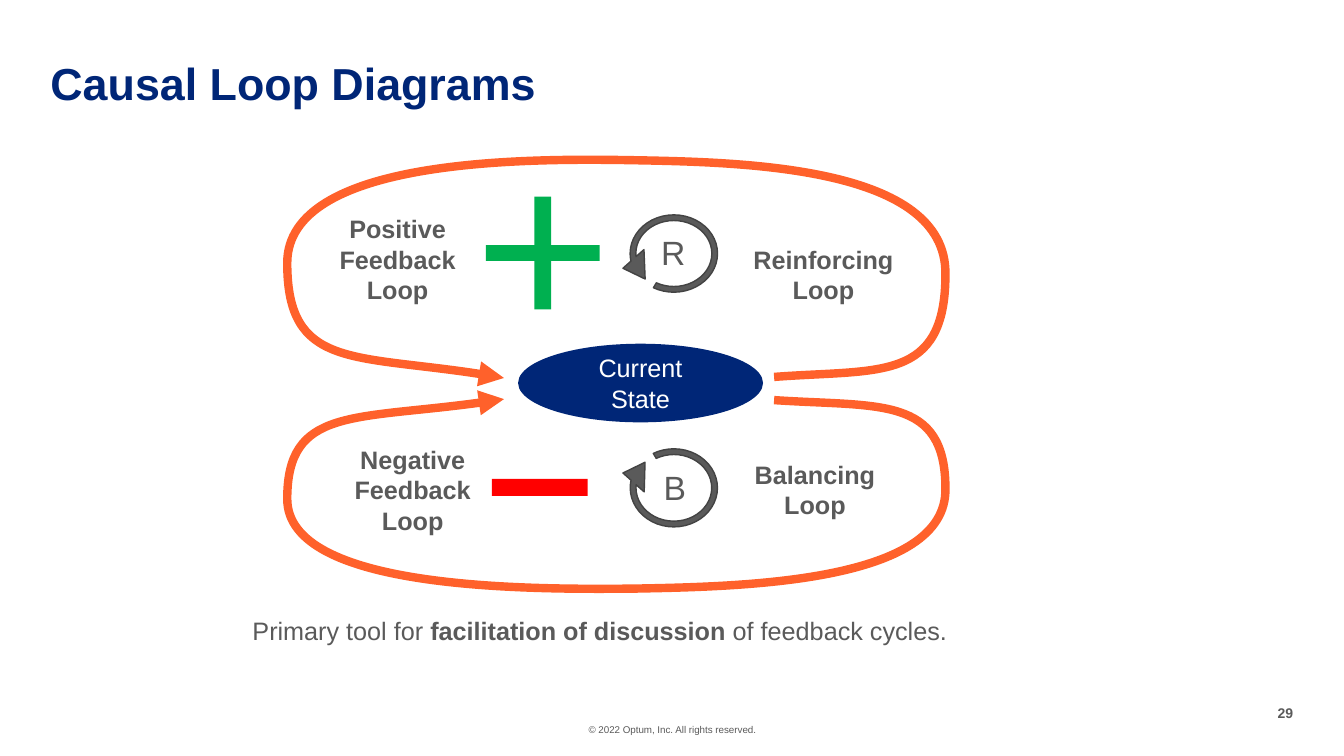
from itertools import islice

from pptx import Presentation
from pptx.dml.color import RGBColor
from pptx.enum.shapes import MSO_SHAPE
from pptx.enum.text import MSO_ANCHOR, MSO_AUTO_SIZE, PP_ALIGN
from pptx.oxml.ns import qn
from pptx.oxml.xmlchemy import OxmlElement
from pptx.util import Pt

PX = 9144  # EMU per px, 100 px to the inch
FONT = "Arial"
NAVY = RGBColor(0x00, 0x26, 0x77)
GREY = RGBColor(0x5A, 0x5A, 0x5A)
DARK_GREY = RGBColor(0x43, 0x43, 0x43)
ORANGE = RGBColor(0xFF, 0x61, 0x2B)
GREEN = RGBColor(0x00, 0xB0, 0x50)
RED = RGBColor(0xFF, 0x00, 0x00)
WHITE = RGBColor(0xFF, 0xFF, 0xFF)


class SlideBuilder:
    def __init__(self, page):
        self.page = page

    def add_text(self, frame, lines, size, color=GREY, bold=False, align=PP_ALIGN.CENTER):
        """Each line is a list of (text, bold) runs or a plain string."""
        for index, line in enumerate(lines):
            para = frame.paragraphs[0] if index == 0 else frame.add_paragraph()
            para.alignment = align
            para.space_before = Pt(0)
            for text, strong in [(line, bold)] if isinstance(line, str) else line:
                span = para.add_run()
                span.text = text
                span.font.name = FONT
                span.font.size = Pt(size)
                span.font.bold = strong
                span.font.color.rgb = color

    def place(self, item, left, top, width, height):
        item.left, item.top = left * PX, top * PX
        item.width, item.height = width * PX, height * PX

    def clear_insets(self, frame):
        frame.margin_left = frame.margin_right = 0
        frame.margin_top = frame.margin_bottom = 0

    def title(self, box, text):
        holder = self.page.shapes.title
        self.place(holder, *box)
        frame = holder.text_frame
        self.clear_insets(frame)
        frame.vertical_anchor = MSO_ANCHOR.TOP
        frame.auto_size = MSO_AUTO_SIZE.NONE
        self.add_text(frame, [text], 32, NAVY, True, PP_ALIGN.LEFT)
        frame.paragraphs[0].line_spacing = 0.9

    def body(self, box, runs):
        holder = self.page.placeholders[1]
        self.place(holder, *box)
        frame = holder.text_frame
        frame.vertical_anchor = MSO_ANCHOR.TOP
        frame.auto_size = MSO_AUTO_SIZE.NONE
        properties = frame.paragraphs[0]._p.get_or_add_pPr()
        properties.set("marL", "0")
        properties.set("indent", "0")
        properties.append(OxmlElement("a:buNone"))
        self.add_text(frame, [runs], 18)

    def label(self, box, lines, size=18, bold=False, align=PP_ALIGN.CENTER,
              wrap=False, inset=True):
        left, top, width, height = (value * PX for value in box)
        frame = self.page.shapes.add_textbox(left, top, width, height).text_frame
        frame.word_wrap = wrap
        frame.auto_size = MSO_AUTO_SIZE.SHAPE_TO_FIT_TEXT
        if not inset:
            self.clear_insets(frame)
        self.add_text(frame, lines, size, bold=bold, align=align)

    def shape(self, kind, box, fill, line=None, adjustments=()):
        left, top, width, height = (value * PX for value in box)
        item = self.page.shapes.add_shape(kind, left, top, width, height)
        item.shadow.inherit = False
        item.fill.solid()
        item.fill.fore_color.rgb = fill
        if line is None:
            item.line.fill.background()
        else:
            item.line.color.rgb = line
            item.line.width = Pt(1)
        for index, value in enumerate(adjustments):
            item.adjustments[index] = value
        return item

    def turning_arrow(self, box, *flips):
        item = self.shape(MSO_SHAPE.CIRCULAR_ARROW, box, GREY, DARK_GREY,
                          (0.057, 20.398, 4.571, 35.494, 0.141))
        for flip in flips:
            item._element.spPr.find(qn("a:xfrm")).set(flip, "1")

    def curved_arrow(self, start, points):
        """Draw cubic curves; every three points are two controls and an end."""
        builder = self.page.shapes.build_freeform(*start, scale=PX)
        builder.add_line_segments(points, close=False)
        item = builder.convert_to_shape()
        item.shadow.inherit = False
        item.fill.background()
        item.line.color.rgb = ORANGE
        item.line.width = Pt(6)

        # Turn the straight segments into curves
        outline = item._element.xpath(".//a:path")[0]
        segments = iter(outline.findall(qn("a:lnTo")))
        while triple := list(islice(segments, 3)):
            curve = OxmlElement("a:cubicBezTo")
            for segment in triple:
                curve.append(segment[0])
                outline.remove(segment)
            outline.append(curve)

        head = OxmlElement("a:tailEnd")
        head.set("type", "triangle")
        item._element.spPr.find(qn("a:ln")).append(head)


def main():
    deck = Presentation()
    deck.slide_width, deck.slide_height = 12192000, 750 * PX
    slide = SlideBuilder(deck.slides.add_slide(deck.slide_layouts[1]))

    # Footer, title and caption
    slide.label((514, 718, 306, 12), ["© 2022 Optum, Inc. All rights reserved."], 7,
                wrap=True, inset=False)
    slide.label((1266, 699, 17, 17), ["29"], 10, True, PP_ALIGN.RIGHT, inset=False)
    slide.title((50, 61, 1050, 48), "Causal Loop Diagrams")
    slide.body((218, 605, 754, 56), [("Primary tool for ", False),
                                     ("facilitation of discussion ", True),
                                     ("of feedback cycles.", False)])

    # Current state
    state = slide.shape(MSO_SHAPE.OVAL, (514, 341, 243, 78), NAVY)
    state.text_frame.vertical_anchor = MSO_ANCHOR.MIDDLE
    slide.add_text(state.text_frame, ["Current", "State"], 18, WHITE)

    # Feedback loops
    slide.curved_arrow((768, 374), [
        (872, 366), (938, 380), (938, 272), (939, 165), (738, 161), (629, 159),
        (520, 157), (285, 157), (285, 261), (285, 366), (358, 350), (500, 375)])
    slide.curved_arrow((768, 397), [
        (872, 404), (938, 392), (938, 485), (939, 578), (738, 582), (629, 584),
        (520, 585), (285, 585), (285, 495), (285, 404), (358, 418), (500, 396)])

    # Plus and minus signs
    slide.shape(MSO_SHAPE.CROSS, (482, 195, 113, 112), GREEN, adjustments=[0.431])
    slide.shape(MSO_SHAPE.RECTANGLE, (488, 475, 95, 17), RED)

    # Loop markers
    slide.turning_arrow((614, 202, 109, 99), "flipH")
    slide.turning_arrow((614, 434, 109, 100), "flipH", "flipV")
    slide.label((629, 225, 78, 81), ["R"], 24)
    slide.label((648, 458, 43, 50), ["B"], 24)

    # Loop names
    for box, lines in [
        ((326, 207, 137, 101), ["Positive", "Feedback", "Loop"]),
        ((341, 436, 137, 101), ["Negative", "Feedback", "Loop"]),
        ((737, 237, 160, 71), ["Reinforcing", "Loop"]),
        ((738, 451, 141, 71), ["Balancing", "Loop"]),
    ]:
        slide.label(box, lines, bold=True)

    deck.save("out.pptx")


if __name__ == "__main__":
    main()
